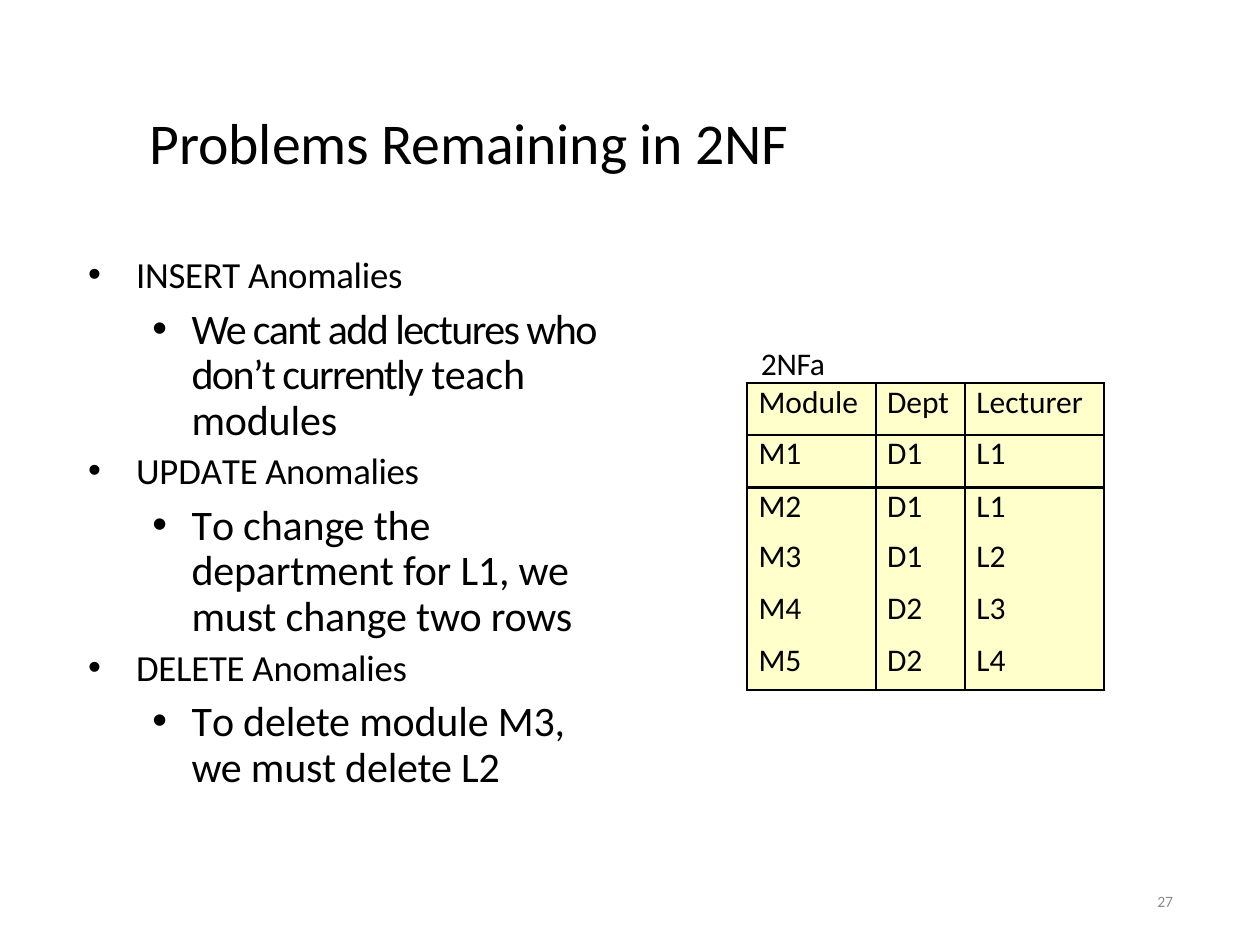
from dataclasses import dataclass

from lxml.etree import SubElement
from pptx import Presentation
from pptx.dml.color import RGBColor
from pptx.enum.text import MSO_ANCHOR as Anchor, PP_ALIGN as Align
from pptx.oxml.ns import qn
from pptx.util import Emu, Inches, Pt

BLACK = RGBColor(0x00, 0x00, 0x00)
GREY = RGBColor(0x8C, 0x8C, 0x8C)
CREAM = RGBColor(0xFF, 0xFF, 0xCC)
FONT = "Calibri"
WIDTH, HEIGHT = Inches(10), Inches(7.5)


@dataclass(frozen=True)
class Box:
    """A frame, in percent of the slide's width and height."""
    left: float
    top: float
    width: float
    height: float

    def emu(self) -> tuple[Emu, ...]:
        shares = ((self.left, WIDTH), (self.top, HEIGHT),
                  (self.width, WIDTH), (self.height, HEIGHT))
        return tuple(Emu(round(share * side / 100)) for share, side in shares)


@dataclass(frozen=True)
class Piece:
    text: str
    spacing: float = 0


@dataclass(frozen=True)
class Level:
    size: float
    margin: float
    hanging: float
    before: float
    line: float | None = None


@dataclass(frozen=True)
class Anomaly:
    heading: tuple[Piece, ...]
    detail: tuple[Piece, ...]


HEADING = Level(size=21, margin=0.39, hanging=0.38, before=2.7)
DETAIL = Level(size=24, margin=0.83, hanging=0.31, before=6.5, line=25.9)

ANOMALIES = (
    Anomaly((Piece("INSERT Anomalies", -0.15),),
            (Piece("We cant add lectures who don’t currently ", -0.9),
             Piece("teach modules", -0.1))),
    Anomaly((Piece("UP", -0.2), Piece("D", -0.6), Piece("A", -2.4),
             Piece("TE Anomalies", -0.2)),
            (Piece("T", -2.2),
             Piece("o change the department for L1, we must change two rows", -0.1))),
    Anomaly((Piece("DELETE Anomalies", -0.15),),
            (Piece("T", -2.2), Piece("o delete module M3, we must delete L2", -0.1))),
)

MODULES = (
    ("Module", "Dept", "Lecturer"),
    ("M1", "D1", "L1"),
    ("M2", "D1", "L1"),
    ("M3", "D1", "L2"),
    ("M4", "D2", "L3"),
    ("M5", "D2", "L4"),
)
COLUMN_WIDTHS = (1.02, 0.71, 1.1)
ROW_HEIGHTS = (0.41, 0.42, 0.4, 0.41, 0.41, 0.39)
RULED_ROWS = 3  # the rows from here on have no line above them


def add_pieces(paragraph, pieces: tuple[Piece, ...], size: float,
               color: RGBColor = BLACK, margin: float = 0) -> None:
    if margin:
        paragraph._p.get_or_add_pPr().set("marL", str(Inches(margin)))
    for piece in pieces:
        run = paragraph.add_run()
        run.text = piece.text
        run.font.name, run.font.size = FONT, Pt(size)
        run.font.color.rgb = color
        if piece.spacing:
            run._r.get_or_add_rPr().set("spc", str(round(piece.spacing * 100)))


def place(shape, box: Box, anchor: Anchor = Anchor.TOP):
    """Set the frame of a shape, clear its margins and return its text frame."""
    shape.left, shape.top, shape.width, shape.height = box.emu()
    frame = shape.text_frame
    frame.word_wrap = True
    frame.vertical_anchor = anchor
    frame.margin_left = frame.margin_right = frame.margin_top = frame.margin_bottom = 0
    return frame


def add_text(slide, box: Box, anchor: Anchor = Anchor.TOP):
    return place(slide.shapes.add_textbox(*box.emu()), box, anchor)


def add_bullet(paragraph, pieces: tuple[Piece, ...], level: Level, first: bool) -> None:
    properties = paragraph._p.get_or_add_pPr()
    properties.set("indent", str(-Inches(level.hanging)))
    SubElement(properties, qn("a:buFont")).set("typeface", "Arial")
    SubElement(properties, qn("a:buChar")).set("char", "•")
    paragraph.level = 1 if level is DETAIL else 0
    paragraph.space_before = Pt(0 if first else level.before)
    if level.line:
        paragraph.line_spacing = Pt(level.line)
    add_pieces(paragraph, pieces, level.size, margin=level.margin)


def add_anomalies(slide, box: Box) -> None:
    frame = add_text(slide, box)
    bullets = [bullet for anomaly in ANOMALIES
               for bullet in ((anomaly.heading, HEADING), (anomaly.detail, DETAIL))]
    for index, (pieces, level) in enumerate(bullets):
        paragraph = frame.add_paragraph() if index else frame.paragraphs[0]
        add_bullet(paragraph, pieces, level, first=index == 0)


def set_borders(cell, ruled_sides: set[str]) -> None:
    properties = cell._tc.get_or_add_tcPr()
    for position, side in enumerate(("lnL", "lnR", "lnT", "lnB")):
        line = properties.makeelement(qn(f"a:{side}"), {"w": str(Pt(1.5))})
        if side in ruled_sides:
            fill = SubElement(line, qn("a:solidFill"))
            SubElement(fill, qn("a:srgbClr")).set("val", str(BLACK))
        else:
            SubElement(line, qn("a:noFill"))
        properties.insert(position, line)


def add_modules(slide, box: Box) -> None:
    table = slide.shapes.add_table(len(MODULES), len(COLUMN_WIDTHS), *box.emu()).table
    table.first_row = table.horz_banding = False
    for column, width in zip(table.columns, COLUMN_WIDTHS):
        column.width = Inches(width)
    for row_index, (values, height) in enumerate(zip(MODULES, ROW_HEIGHTS)):
        table.rows[row_index].height = Inches(height)
        sides = {"lnL", "lnR"}
        if row_index < RULED_ROWS:
            sides.add("lnT")
        if row_index + 1 < RULED_ROWS or row_index + 1 == len(MODULES):
            sides.add("lnB")
        for column_index, value in enumerate(values):
            cell = table.cell(row_index, column_index)
            cell.margin_left = cell.margin_right = 0
            cell.margin_top = cell.margin_bottom = 0
            cell.fill.solid()
            cell.fill.fore_color.rgb = CREAM
            set_borders(cell, sides)
            add_pieces(cell.text_frame.paragraphs[0], (Piece(value),), 18, margin=0.09)


def main() -> None:
    deck = Presentation()
    deck.slide_width, deck.slide_height = WIDTH, HEIGHT
    slide = deck.slides.add_slide(deck.slide_layouts[5])

    title = place(slide.shapes.title, Box(6.9, 5.33, 86.2, 19.33), Anchor.MIDDLE)
    title.paragraphs[0].alignment = Align.LEFT
    add_pieces(title.paragraphs[0], (Piece("Problems Remaining in 2NF", -0.1),), 33, margin=0.5)

    add_anomalies(slide, Box(6.9, 26.67, 42.5, 57.47))

    page_number = add_text(slide, Box(70.6, 92.67, 22.5, 5.33), Anchor.MIDDLE)
    page_number.paragraphs[0].alignment = Align.RIGHT
    add_pieces(page_number.paragraphs[0], (Piece("27", -0.1),), 9, GREY)

    caption = add_text(slide, Box(60.3, 36.4, 5.4, 3.73))
    add_pieces(caption.paragraphs[0], (Piece("2NFa", -0.2),), 18, margin=0.01)

    add_modules(slide, Box(59.3, 40.53, 28.3, 32.4))
    deck.save("out.pptx")


if __name__ == "__main__":
    main()
